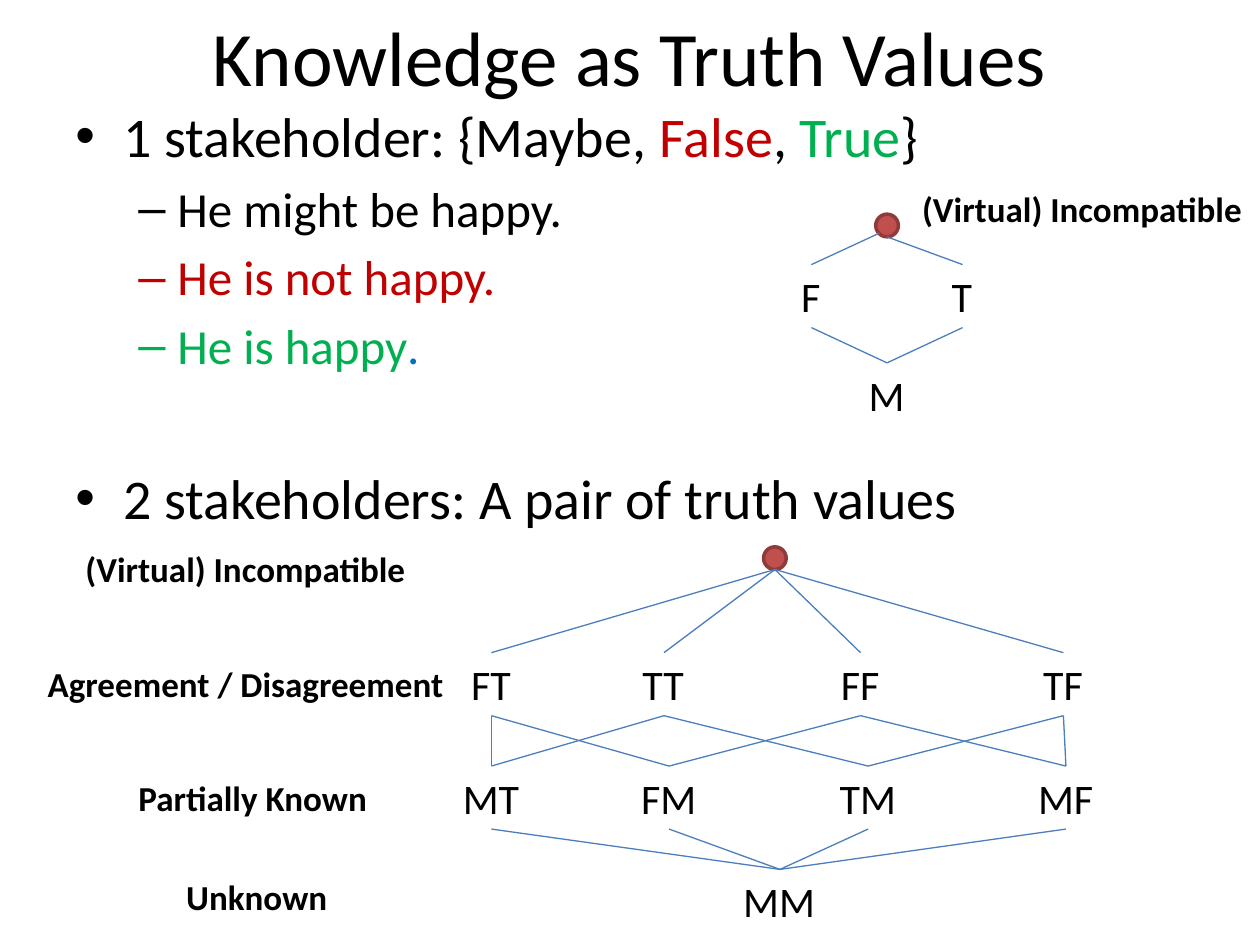
from lxml import etree
from pptx import Presentation
from pptx import util as u
from pptx.dml.color import RGBColor
from pptx.enum import shapes, text
from pptx.oxml.ns import qn

FONT = "Calibri"
BLACK, RED, GREEN, BLUE = "000000", "C00000", "00B050", "0070C0"
EDGE, DOT_FILL, DOT_LINE = "4B7EBC", "C0504D", "8E3B39"
NODE = {"size": u.Pt(24), "name": FONT}
LABEL = {"size": u.Pt(20), "name": FONT, "bold": True}
DOT_SIZE, NODE_HEIGHT, LABEL_HEIGHT = 0.18, 0.5, 0.44

LABELS = [
    ("Unknown", 1.38, 6.9, 1.33),
    ("Partially Known", 1, 6.11, 2.03),
    ("Agreement / Disagreement", 0.28, 5.21, 3.37),
    ("(Virtual) Incompatible", 0.58, 4.3, 2.76),
    ("(Virtual) Incompatible", 7.22, 1.44, 2.76),
]
NODE_ROWS = [
    (2.1, [("F", 6.44, 0.36), ("T", 7.64, 0.37)]),
    (2.88, [("M", 7.04, 0.49)]),
    (5.18, [("FT", 3.9, 0.52), ("TT", 5.27, 0.54), ("FF", 6.83, 0.51), ("TF", 8.44, 0.52)]),
    (6.08, [("MT", 3.9, 0.65), ("FM", 5.31, 0.64), ("TM", 6.89, 0.65), ("MF", 8.46, 0.64)]),
    (6.9, [("MM", 6.19, 0.78)]),
]
DOTS = {"single top": (7.04, 1.7), "pair top": (6.15, 4.34)}
EDGES = {
    "single top": ["T"],
    "F": ["M"], "T": ["M"],
    "pair top": ["FT", "TT", "FF", "TF"],
    "FT": ["MT", "FM"], "TT": ["MT", "TM"],
    "FF": ["FM", "MF"], "TF": ["TM", "MF"],
    "MT": ["MM"], "FM": ["MM"], "TM": ["MM"], "MF": ["MM"],
}
BODY = [
    (0, 0, [("1 stakeholder: {Maybe, ", BLACK), ("False", RED), (", ", BLACK),
            ("True", GREEN), ("}", BLACK)]),
    (1, 5.4, [("He might be happy.", BLACK)]),
    (1, 5.4, [("He is not happy.", RED)]),
    (1, 5.4, [("He is happy", GREEN), (".", BLUE)]),
    (0, 51, [("2 stakeholders: A pair of truth values", BLACK)]),
]
LEVELS = [("•", 0.38, -0.38, 32), ("–", 0.81, -0.31, 28)]


def color(value):
    """Turn a hex string into a colour."""
    return RGBColor.from_string(value)


def apply(target, values):
    """Set each attribute in a dict of format values."""
    for name, value in values.items():
        setattr(target, name, value)


def add_run(paragraph, words, font, hex_color=BLACK):
    """Append a formatted run to a paragraph."""
    run = paragraph.add_run()
    run.text = words
    apply(run.font, font)
    run.font.color.rgb = color(hex_color)


def add_box(slide, left, top, width, height, frame_format):
    """Add a text box and return its text frame."""
    box = slide.shapes.add_textbox(*map(u.Inches, (left, top, width, height)))
    apply(box.text_frame, frame_format)
    return box.text_frame


def add_label(slide, words, left, top, width, height, font):
    """Add a one-line text that does not wrap."""
    frame = add_box(slide, left, top, width, height,
                    {"word_wrap": False, "auto_size": text.MSO_AUTO_SIZE.SHAPE_TO_FIT_TEXT})
    add_run(frame.paragraphs[0], words, font)


def add_title(slide, words):
    """Add the centred title."""
    frame = add_box(slide, 0.5, -0.18, 9, 1.25,
                    {"word_wrap": True, "vertical_anchor": text.MSO_ANCHOR.MIDDLE})
    frame.paragraphs[0].alignment = text.PP_ALIGN.CENTER
    add_run(frame.paragraphs[0], words, {"size": u.Pt(44), "name": FONT})


def add_bullet(paragraph, level):
    """Give a paragraph the bullet and hanging indent of its level."""
    mark, margin, indent, _ = LEVELS[level]
    properties = paragraph._p.get_or_add_pPr()
    properties.set("marL", str(u.Inches(margin)))
    properties.set("indent", str(u.Inches(indent)))
    etree.SubElement(properties, qn("a:buFont"), typeface="Arial")
    etree.SubElement(properties, qn("a:buChar"), char=mark)


def add_body(slide):
    """Add the bulleted list."""
    frame = add_box(slide, 0.5, 0.76, 9, 5.94, {"word_wrap": True})
    for index, (level, space, runs) in enumerate(BODY):
        paragraph = frame.add_paragraph() if index else frame.paragraphs[0]
        add_bullet(paragraph, level)
        apply(paragraph, {"level": level, "space_before": u.Pt(space)})
        for words, hex_color in runs:
            add_run(paragraph, words, {"size": u.Pt(LEVELS[level][3]), "name": FONT}, hex_color)


def add_dot(slide, center, top):
    """Add the round mark at the top of a lattice."""
    dot = slide.shapes.add_shape(
        shapes.MSO_SHAPE.OVAL, u.Inches(center - DOT_SIZE / 2), u.Inches(top),
        u.Inches(DOT_SIZE), u.Inches(DOT_SIZE))
    dot.shadow.inherit = False
    dot.fill.solid()
    dot.fill.fore_color.rgb = color(DOT_FILL)
    dot.line.color.rgb = color(DOT_LINE)
    dot.line.width = u.Pt(2)


def add_edge(slide, start, end):
    """Add a thin straight line between two points."""
    line = slide.shapes.add_connector(
        shapes.MSO_CONNECTOR.STRAIGHT, *map(u.Inches, (*start, *end)))
    line.line.color.rgb = color(EDGE)
    line.line.width = u.Pt(0.75)
    etree.SubElement(line._element.spPr, qn("a:effectLst"))


def add_lattices(slide):
    """Add both lattices of truth values with their edges."""
    tops, bottoms = {}, {}
    for top, row in NODE_ROWS:
        for name, center, width in row:
            add_label(slide, name, center - width / 2, top, width, NODE_HEIGHT, NODE)
            tops[name] = (center, top)
            bottoms[name] = (center, top + NODE_HEIGHT)
    for name, (center, top) in DOTS.items():
        add_dot(slide, center, top)
        bottoms[name] = (center, top + DOT_SIZE)
    for upper, lowers in EDGES.items():
        for lower in lowers:
            add_edge(slide, bottoms[upper], tops[lower])
    add_edge(slide, (6.98, 1.85), tops["F"])


def main():
    """Build and save the slide."""
    presentation = Presentation()
    apply(presentation, {"slide_width": u.Inches(10), "slide_height": u.Inches(7.5)})
    slide = presentation.slides.add_slide(presentation.slide_layouts[6])
    add_title(slide, "Knowledge as Truth Values")
    add_body(slide)
    add_lattices(slide)
    for words, left, top, width in LABELS:
        add_label(slide, words, left, top, width, LABEL_HEIGHT, LABEL)
    presentation.save("out.pptx")


if __name__ == "__main__":
    main()
